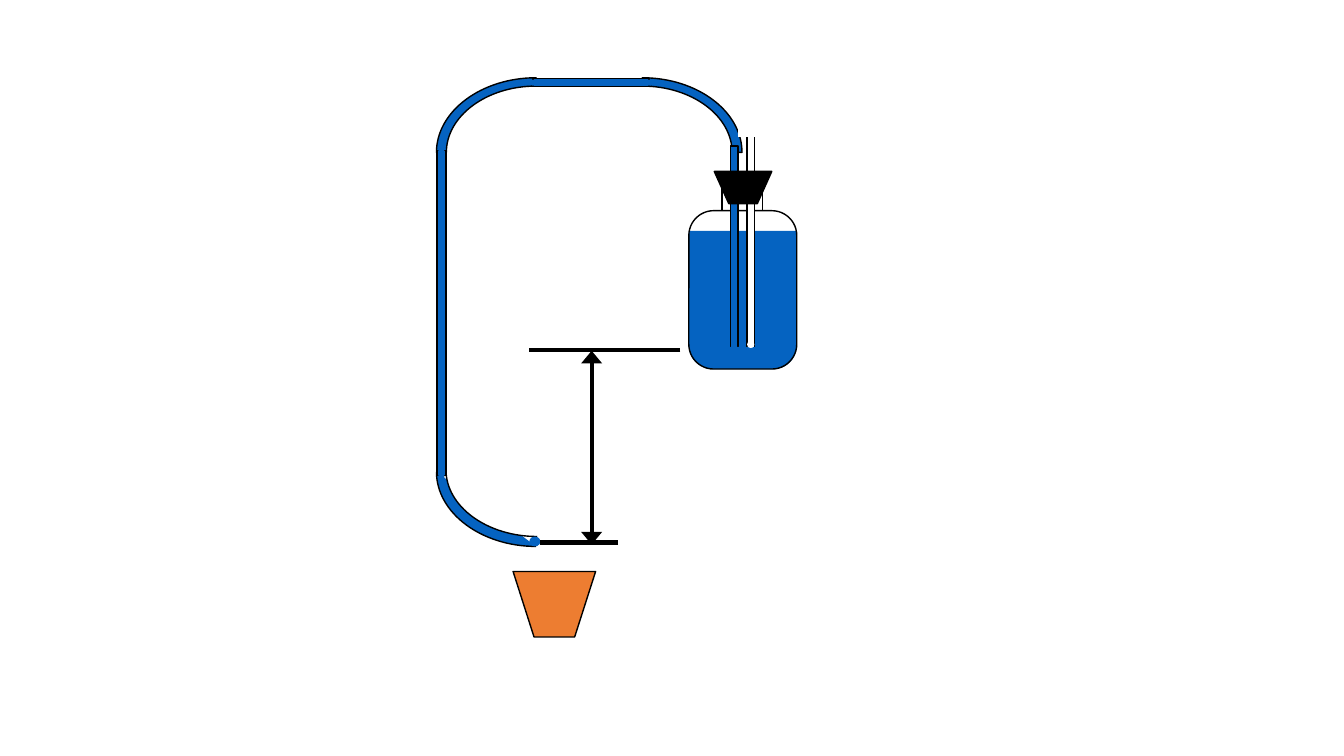
from lxml.etree import SubElement
from pptx import Presentation
from pptx.dml.color import RGBColor
from pptx.enum.shapes import MSO_CONNECTOR, MSO_SHAPE
from pptx.oxml.ns import qn
from pptx.util import Cm, Pt

WATER = RGBColor(0x05, 0x63, 0xC1)
CLAY = RGBColor(0xED, 0x7D, 0x31)
BLACK = RGBColor(0, 0, 0)
WHITE = RGBColor(0xFF, 0xFF, 0xFF)

BEND_RX, BEND_RY = 2.51, 1.88
BORE_X, BORE_Y = 0.25, 0.21
ROUNDNESS = 0.55  # control point distance of a quarter ellipse


def style(part, fill, outlined):
    part.shadow.inherit = False
    if fill is None:
        part.fill.background()
    else:
        part.fill.solid()
        part.fill.fore_color.rgb = fill
    if outlined:
        part.line.color.rgb = BLACK
        part.line.width = Pt(1)
    else:
        part.line.fill.background()


def add_part(slide, kind, box, fill, outlined=False, adjust=None, rotation=0):
    part = slide.shapes.add_shape(kind, *map(Cm, box))
    if adjust is not None:
        part.adjustments[0] = adjust
    part.rotation = rotation
    style(part, fill, outlined)


def quarter(center, rx, ry):
    """Bezier points from above or below the center to its side."""
    (x, y), k = center, ROUNDNESS
    return [(x, y + ry), (x + k * rx, y + ry), (x + rx, y + k * ry), (x + rx, y)]


def add_curve(slide, points, curve_starts, fill, close):
    """Outline whose three segments from each curve start form one Bezier curve."""
    corners = [(Cm(px), Cm(py)) for px, py in points]
    builder = slide.shapes.build_freeform(*corners[0])
    builder.add_line_segments(corners[1:], close=close)
    curve = builder.convert_to_shape()
    segments = list(curve._element.iter(qn("a:lnTo")))
    for start in curve_starts:
        bezier = segments[start].makeelement(qn("a:cubicBezTo"))
        segments[start].addprevious(bezier)
        for segment in segments[start:start + 3]:
            bezier.append(segment[0])
            segment.getparent().remove(segment)
    style(curve, fill, True)


def add_upper_bend(slide, center, side):
    outer = quarter(center, side * BEND_RX, -BEND_RY)
    inner = quarter(center, side * (BEND_RX - BORE_X), BORE_Y - BEND_RY)
    add_curve(slide, outer + inner[::-1], (0, 4), WATER, True)


def add_line(slide, start, end, arrows=False):
    line = slide.shapes.add_connector(MSO_CONNECTOR.STRAIGHT, *map(Cm, start + end))
    line.line.color.rgb = BLACK
    line.line.width = Pt(3)
    if arrows:
        outline = line.line._get_or_add_ln()
        for tip in ("a:headEnd", "a:tailEnd"):
            SubElement(outline, qn(tip), type="triangle", w="lg")
    SubElement(line._element.spPr, qn("a:effectLst"))


def draw_bottle(slide, x, y, width, height):
    rect, rounded = MSO_SHAPE.RECTANGLE, MSO_SHAPE.ROUNDED_RECTANGLE
    # Neck
    add_part(slide, rect, (x + 0.84, y - 0.81, 1.02, 0.81), WHITE, True)
    # Water, with a rounded bottom
    add_part(slide, rounded, (x, y + height - 1.18, width, 1.18), WATER, adjust=0.5)
    add_part(slide, rect, (x, y + 0.51, width, height - 1.1), WATER)
    # Glass
    add_part(slide, rounded, (x, y, width, height), None, True, adjust=0.23)
    # Air tube and siphon tube
    add_part(slide, rect, (x + 1.47, y - 2.06, 0.18, 5.69), WHITE, True)
    add_part(slide, rect, (x + 1.05, y - 1.63, 0.19, 5.26), WATER, True)
    # Open lower ends, with an air bubble
    add_part(slide, rect, (x + 0.61, y + 3.43, 1.27, 0.43), WATER)
    add_part(slide, MSO_SHAPE.OVAL, (x + 1.47, y + 3.28, 0.18, 0.18), WHITE)
    # Stopper
    add_part(slide, MSO_SHAPE.TRAPEZOID, (x + 0.64, y - 0.99, 1.45, 0.81), BLACK, True,
             adjust=0.45, rotation=180)
    # Open top of the air tube
    add_part(slide, rect, (x + 1.24, y - 2.29, 0.64, 0.43), WHITE)


def draw_siphon(slide, x, y, width, height):
    left, right = x + BEND_RX, x + width - BEND_RX
    top, bottom = y + BEND_RY, y + height - BEND_RY

    # Upper bends; the bottle overlaps the right one
    add_upper_bend(slide, (right, top), 1)
    draw_bottle(slide, x + 6.36, y + 3.35, 2.72, 3.99)
    add_upper_bend(slide, (left, top), -1)

    # Lower bend: water cut by the white inside of the curve
    for center, rx, ry, fill in (((left, bottom), BEND_RX, BEND_RY, WATER),
                                 ((left + 0.03, bottom - 0.05), 2.3, 1.68, WHITE)):
        add_curve(slide, quarter(center, -rx, ry), (0,), fill, False)
    # Open end
    add_part(slide, MSO_SHAPE.OVAL, (left - 0.17, y + height - 0.25, 0.28, 0.25), WATER)

    # Straight runs
    runs = ((left - 0.08, y + 0.02, right - left + 0.25, 0.2),
            (x + 0.01, top - 0.05, 0.23, bottom - top + 0.15))
    for run in runs:
        add_part(slide, MSO_SHAPE.RECTANGLE, run, WATER, True)

    # Joints, which hide the seams between runs and bends
    for joint_x in (left - 0.1, right + 0.08):
        add_part(slide, MSO_SHAPE.RECTANGLE, (joint_x, y + 0.05, 0.13, 0.15), WATER)
    for joint_y in (top, bottom):
        add_part(slide, MSO_SHAPE.RECTANGLE, (x + 0.05, joint_y - 0.18, 0.15, 0.36), WATER)


def draw_pot(slide, x, y, width, height):
    add_part(slide, MSO_SHAPE.TRAPEZOID, (x, y, width, height), CLAY, True,
             adjust=0.32, rotation=180)


def draw_head_height(slide, x, y, width, height):
    # Air inlet level, outlet level and the drop between them
    add_line(slide, (x + width, y), (x, y))
    add_line(slide, (x + 2.24, y + height), (x + 0.28, y + height))
    add_line(slide, (x + 1.57, y + 0.03), (x + 1.57, y + height + 0.05), arrows=True)


def main():
    deck = Presentation()
    deck.slide_width, deck.slide_height = Cm(33.87), Cm(19.05)
    slide = deck.slides.add_slide(deck.slide_layouts[6])
    draw_siphon(slide, 11, 1.96, 7.7, 11.81)
    draw_pot(slide, 12.93, 14.4, 2.08, 1.65)
    draw_head_height(slide, 13.34, 8.81, 3.81, 4.86)
    deck.save("out.pptx")


if __name__ == "__main__":
    main()
